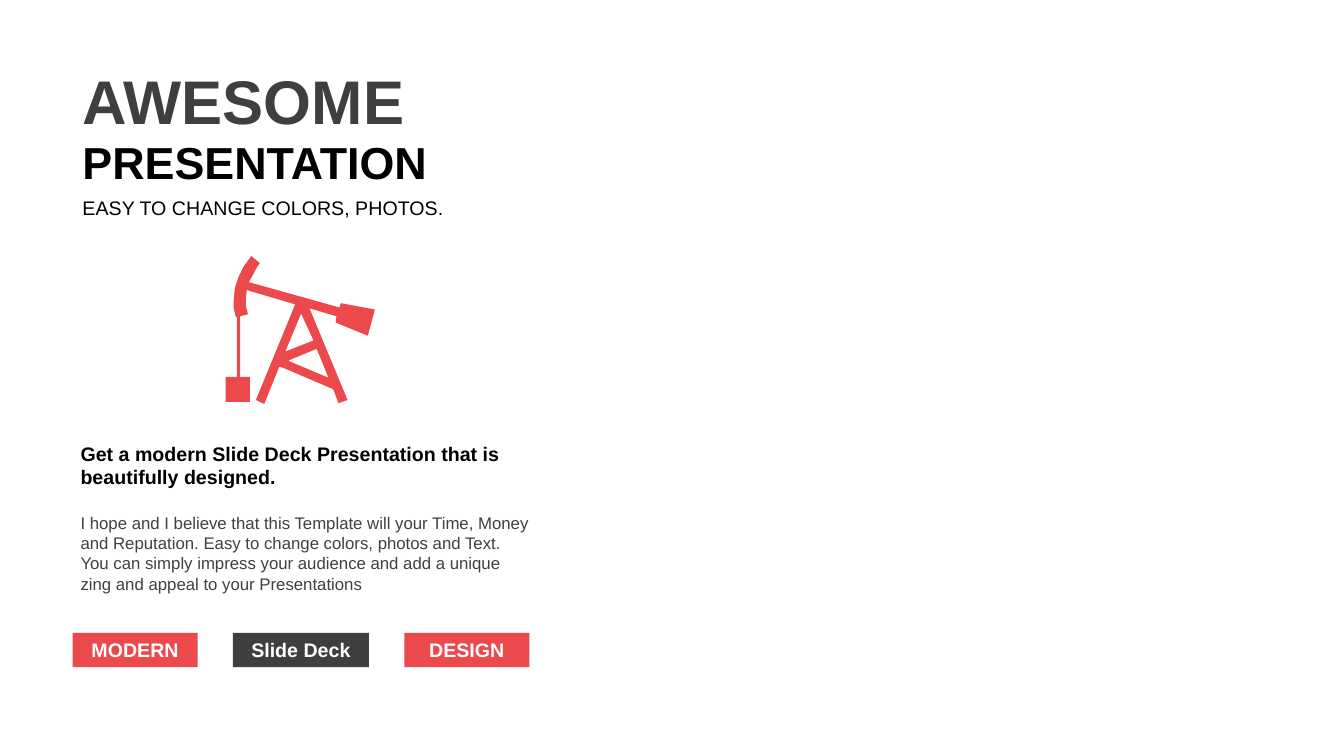
from pptx import Presentation
from pptx.dml.color import RGBColor
from pptx.enum.shapes import MSO_SHAPE
from pptx.enum.text import MSO_ANCHOR as ANCHOR, MSO_AUTO_SIZE as AUTO, PP_ALIGN as ALIGN
from pptx.util import Cm, Pt

COLORS = {"red": "EB494B", "dark": "3F3F3F", "gray": "404040",
          "black": "000000", "white": "FFFFFF"}

# Pump jack contours in tenths of a millimetre: the silhouette, then its two openings
PUMP_JACK = [
    [(64, 0), (86, 18), (79, 28), (64, 56), (58, 66), (287, 130), (290, 119),
     (376, 135), (358, 201), (277, 168), (279, 152), (211, 132), (307, 363),
     (284, 371), (272, 338), (269, 335), (145, 282), (135, 279), (97, 373),
     (76, 363), (175, 122), (53, 86), (51, 104), (51, 127), (56, 147),
     (36, 152), (36, 305), (61, 305), (61, 368), (0, 368), (0, 305),
     (28, 305), (28, 155), (25, 152), (20, 132), (20, 112), (23, 81),
     (33, 51), (46, 25), (61, 5)],
    [(157, 264), (259, 307), (229, 234)],
    [(190, 145), (150, 241), (221, 213)],
]


def rgb(name):
    return RGBColor.from_string(COLORS[name])


def write(sp, text, size=14, color="black", bold=False, align=ALIGN.LEFT, anchor=ANCHOR.TOP):
    tf = sp.text_frame
    tf.word_wrap = True
    tf.auto_size = AUTO.NONE
    tf.vertical_anchor = anchor
    p = tf.paragraphs[0]
    p.alignment = align
    p.line_spacing = 1.0
    p.space_before = Pt(0)
    r = p.add_run()
    r.text = text
    r.font.name = "Arial"
    r.font.size = Pt(size)
    r.font.bold = bold
    r.font.color.rgb = rgb(color)


def paint(sp, color):
    sp.shadow.inherit = False
    sp.fill.solid()
    sp.fill.fore_color.rgb = rgb(color)
    sp.line.fill.background()


def add_title(s, x, y, w, h, text, **fmt):
    sp = s.shapes.title
    sp.left, sp.top, sp.width, sp.height = Cm(x), Cm(y), Cm(w), Cm(h)
    write(sp, text, **fmt)


def add_text(s, x, y, w, h, text, **fmt):
    write(s.shapes.add_textbox(Cm(x), Cm(y), Cm(w), Cm(h)), text, **fmt)


def add_tag(s, x, y, w, h, text, color):
    sp = s.shapes.add_shape(MSO_SHAPE.RECTANGLE, Cm(x), Cm(y), Cm(w), Cm(h))
    paint(sp, color)
    write(sp, text, color="white", bold=True, align=ALIGN.CENTER)


def add_icon(s, x, y, contours, color):
    outline, *openings = contours
    fb = s.shapes.build_freeform(*outline[0], scale=Cm(0.01))
    fb.add_line_segments(outline[1:], close=True)
    for opening in openings:
        fb.move_to(*opening[0])
        fb.add_line_segments(opening[1:], close=True)
    paint(fb.convert_to_shape(Cm(x), Cm(y)), color)


def main():
    prs = Presentation()
    prs.slide_width, prs.slide_height = Cm(33.87), Cm(19.05)
    s = prs.slides.add_slide(prs.slide_layouts[5])

    # Heading
    heading = {"align": ALIGN.JUSTIFY, "anchor": ANCHOR.MIDDLE, "bold": True}
    add_title(s, 1.83, 1.45, 11.81, 2.13, "AWESOME", size=44, color="dark", **heading)
    add_text(s, 1.83, 3.25, 11.81, 1.63, "PRESENTATION", size=32, **heading)
    add_text(s, 1.83, 4.8, 11.81, 0.86, "EASY TO CHANGE COLORS, PHOTOS.", align=ALIGN.JUSTIFY)

    # Pump jack icon
    add_icon(s, 5.69, 6.45, PUMP_JACK, "red")

    # Body text
    add_text(s, 1.78, 11, 12.12, 1.45,
             "Get a modern Slide Deck Presentation that is beautifully designed.", bold=True)
    add_text(s, 1.78, 12.8, 11.86, 2.31,
             "I hope and I believe that this Template will your Time, Money and Reputation. "
             "Easy to change colors, photos and Text. You can simply impress your audience "
             "and add a unique zing and appeal to your Presentations", size=12, color="gray")

    # Row of tags with equal gaps
    x, gap = 1.83, 0.89
    for text, w, color in [("MODERN", 3.15, "red"), ("Slide Deck", 3.43, "dark"),
                           ("DESIGN", 3.15, "red")]:
        add_tag(s, x, 15.95, w, 0.86, text, color)
        x += w + gap

    prs.save("out.pptx")


if __name__ == "__main__":
    main()
